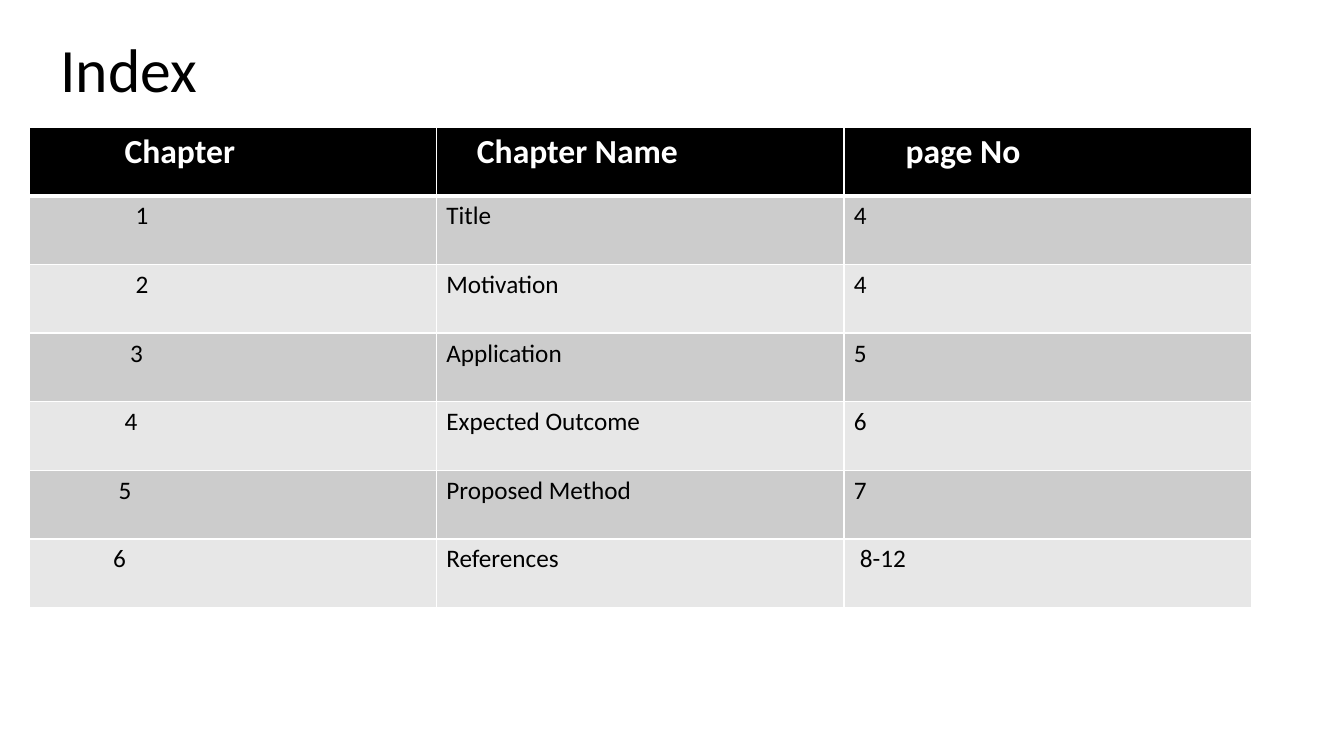
from lxml.etree import SubElement
from pptx import Presentation
from pptx.dml.color import RGBColor
from pptx.enum.text import MSO_ANCHOR, PP_ALIGN
from pptx.oxml.ns import qn
from pptx.util import Cm, Pt


def write(frame, text, size=18, color="000000", bold=False, space=1.0):
    para = frame.paragraphs[0]
    para.alignment = PP_ALIGN.LEFT
    para.line_spacing = space
    run = para.add_run()
    run.text = text
    font = run.font
    font.name, font.size, font.bold = "Calibri", Pt(size), bold
    font.color.rgb = RGBColor.from_string(color)


def style(cell, fill, top=1, bottom=1):
    """Give the cell white borders, with widths in points, and a plain fill."""
    props = cell._tc.get_or_add_tcPr()
    for side, width in (("L", 1), ("R", 1), ("T", top), ("B", bottom)):
        line = SubElement(props, qn(f"a:ln{side}"), w=str(Pt(width)))
        solid = SubElement(line, qn("a:solidFill"))
        SubElement(solid, qn("a:srgbClr"), val="FFFFFF")
    cell.fill.solid()
    cell.fill.fore_color.rgb = RGBColor.from_string(fill)


deck = Presentation()
deck.slide_width, deck.slide_height = Cm(33.87), Cm(19.05)
slide = deck.slides.add_slide(deck.slide_layouts[5])

title = slide.shapes.title
title.left, title.top = Cm(1.27), Cm(0)
title.width, title.height = Cm(29.21), Cm(3.68)
title.text_frame.vertical_anchor = MSO_ANCHOR.MIDDLE
write(title.text_frame, "Index", size=44, space=0.9)

heads = ["Chapter", "Chapter Name", "page No"]
rows = [
    ("1", "Title", "4"),
    ("2", "Motivation", "4"),
    ("3", "Application", "5"),
    ("4", "Expected Outcome", "6"),
    ("5", "Proposed Method", "7"),
    ("6", "References", "8-12"),
]
# Left indents in cm: headings, then the chapter number in each row
head_pads = [2.41, 1.02, 1.55]
num_pads = [2.69, 2.69, 2.55, 2.41, 2.26, 2.12]

table = slide.shapes.add_table(
    len(rows) + 1, len(heads), Cm(0.73), Cm(3.2), Cm(30.81), Cm(12.11)
).table
for col in table.columns:
    col.width = Cm(10.27)
for row in table.rows:
    row.height = Cm(1.73)

for c, (head, pad) in enumerate(zip(heads, head_pads)):
    cell = table.cell(0, c)
    style(cell, "000000", bottom=3)
    cell.margin_left = Cm(pad)
    write(cell.text_frame, head, size=24, color="FFFFFF", bold=True)

for r, (row, pad) in enumerate(zip(rows, num_pads), start=1):
    for c, text in enumerate(row):
        cell = table.cell(r, c)
        style(cell, "CCCCCC" if r % 2 else "E7E7E7", top=3 if r == 1 else 1)
        cell.margin_left = Cm(pad if c == 0 else 0.25)
        write(cell.text_frame, text)
table.cell(len(rows), 2).margin_left = Cm(0.4)

deck.save("out.pptx")
